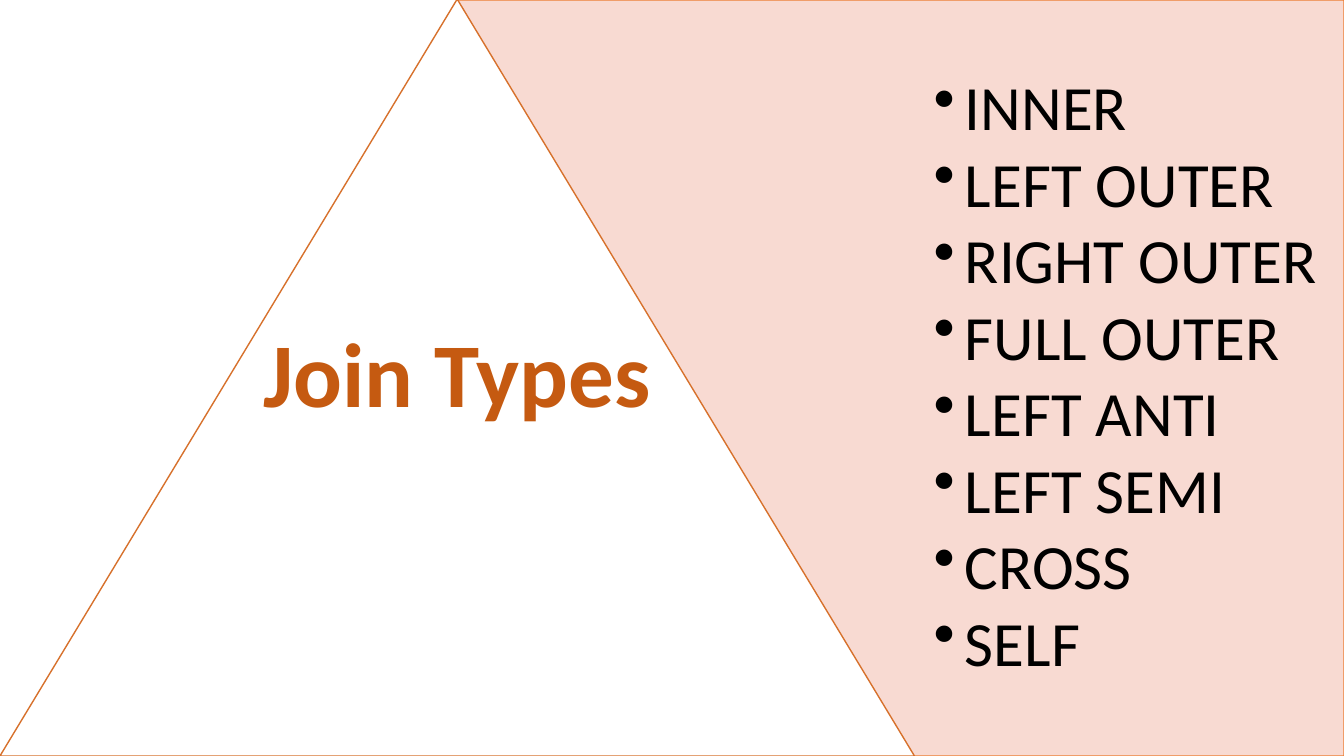
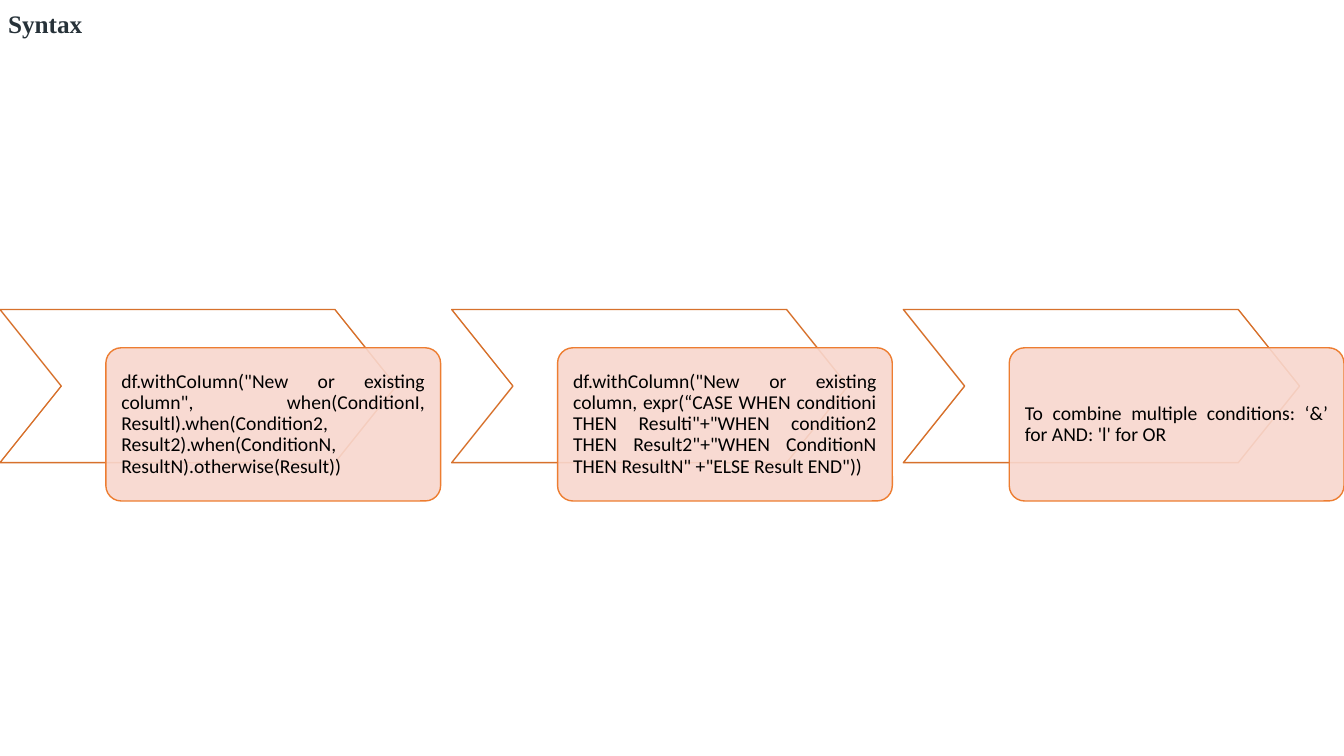
from lxml import etree
from pptx import Presentation
from pptx.dml.color import RGBColor
from pptx.enum.shapes import MSO_SHAPE
from pptx.enum.text import MSO_ANCHOR, PP_ALIGN
from pptx.oxml.ns import qn
from pptx.util import Inches, Pt

TRAPEZOID = MSO_SHAPE.TRAPEZOID
SIDE_TRAPEZOID = MSO_SHAPE.NON_ISOSCELES_TRAPEZOID
CHEVRON = MSO_SHAPE.CHEVRON
ROUNDED = MSO_SHAPE.ROUNDED_RECTANGLE
TOP, MIDDLE = MSO_ANCHOR.TOP, MSO_ANCHOR.MIDDLE
LEFT, CENTER, JUSTIFY = PP_ALIGN.LEFT, PP_ALIGN.CENTER, PP_ALIGN.JUSTIFY

WHITE = RGBColor(0xFF, 0xFF, 0xFF)
BLACK = RGBColor(0x00, 0x00, 0x00)
PEACH = RGBColor(0xF8, 0xD7, 0xCE)
ORANGE = RGBColor(0xED, 0x7D, 0x31)
DARK_ORANGE = RGBColor(0xD7, 0x71, 0x2C)
RUST = RGBColor(0xC5, 0x5A, 0x11)
SLATE = RGBColor(0x27, 0x32, 0x39)

SLIDE_WIDTH, SLIDE_HEIGHT = 13.33, 7.5

SOLID = {"fill": WHITE, "line": DARK_ORANGE, "alpha": 100}
TINTED = {"fill": PEACH, "line": ORANGE, "alpha": 90}

TITLE_FONT = {"name": "Calibri", "size": Pt(65), "bold": True}
LIST_FONT = {"name": "Calibri", "size": Pt(45)}
CARD_FONT = {"name": "Calibri", "size": Pt(14)}
HEADING_FONT = {"name": "Times New Roman", "size": Pt(18), "bold": True}


def add_panel(slide, preset, box, style, adjustments):
    """Add a preset shape; box is left, top, width, height in inches."""
    shape = slide.shapes.add_shape(preset, *[Inches(length) for length in box])
    shape.shadow.inherit = False
    shape.fill.solid()
    shape.fill.fore_color.rgb = style["fill"]
    shape.line.color.rgb = style["line"]
    shape.line.width = Pt(1)
    if style["alpha"] < 100:
        color = shape.fill._xPr.find(qn("a:solidFill"))[0]
        etree.SubElement(color, qn("a:alpha"), val=str(style["alpha"] * 1000))
    for index, value in enumerate(adjustments):
        shape.adjustments[index] = value
    return shape


def write_text(shape, lines, font, color, align, anchor=MIDDLE, inset=0.1,
               spacing=0.9, gap=0, bullet_indent=0):
    frame = shape.text_frame
    frame.word_wrap = True
    frame.vertical_anchor = anchor
    for side in ("left", "top", "right", "bottom"):
        setattr(frame, f"margin_{side}", Inches(inset))
    for index, line in enumerate(lines):
        paragraph = frame.add_paragraph() if index else frame.paragraphs[0]
        paragraph.text = line
        paragraph.alignment = align
        paragraph.line_spacing = spacing
        paragraph.space_after = Pt(gap)
        if bullet_indent:
            properties = paragraph._p.get_or_add_pPr()
            properties.set("marL", str(Inches(bullet_indent)))
            properties.set("indent", str(-Inches(bullet_indent)))
            etree.SubElement(properties, qn("a:buChar"), char="•")
        for name, value in font.items():
            setattr(paragraph.font, name, value)
        paragraph.font.color.rgb = color


presentation = Presentation()
presentation.slide_width = Inches(SLIDE_WIDTH)
presentation.slide_height = Inches(SLIDE_HEIGHT)
blank = presentation.slide_layouts[6]

# Join types: a title triangle beside a tinted list panel
slide = presentation.slides.add_slide(blank)
triangle_width = 9.07
apex = triangle_width / 2
slope = 0.604
panel = add_panel(slide, SIDE_TRAPEZOID,
                  (apex, 0, SLIDE_WIDTH - apex, SLIDE_HEIGHT), TINTED, (0, slope))
panel.rotation = 180
join_list = slide.shapes.add_textbox(
    Inches(triangle_width), 0,
    Inches(SLIDE_WIDTH - triangle_width), Inches(SLIDE_HEIGHT))
join_types = ["INNER", "LEFT OUTER", "RIGHT OUTER", "FULL OUTER",
              "LEFT ANTI", "LEFT SEMI", "CROSS", "SELF"]
write_text(join_list, join_types, LIST_FONT, BLACK, LEFT,
           inset=0.19, gap=6, bullet_indent=0.31)
add_panel(slide, TRAPEZOID, (0, 0, triangle_width, SLIDE_HEIGHT), SOLID, (slope,))
title = slide.shapes.add_textbox(0, 0, Inches(triangle_width), Inches(SLIDE_HEIGHT))
write_text(title, ["Join Types"], TITLE_FONT, RUST, CENTER)

# Syntax: three chevrons, each with a card over its lower right
slide = presentation.slides.add_slide(blank)
cards = [
    'df.withCoIumn("New or existing column", when(ConditionI, Resultl)'
    '.when(Condition2, Result2).when(ConditionN, ResultN).otherwise(Result))',
    'df.withColumn("New or existing column, expr(“CASE WHEN conditioni THEN '
    'Resulti"+"WHEN condition2 THEN Result2"+"WHEN ConditionN THEN ResultN" '
    '+"ELSE Result END"))',
    "To combine multiple conditions: ‘&’ for AND: 'l' for OR",
]
chevron_top, chevron_width, height = 3.07, 3.93, 1.52
card_offset, card_drop, card_width = 1.05, 0.38, 3.32
pitch = (SLIDE_WIDTH - card_offset - card_width) / (len(cards) - 1)
for index, text in enumerate(cards):
    left = index * pitch
    add_panel(slide, CHEVRON, (left, chevron_top, chevron_width, height),
              SOLID, (0.4,))
    card = add_panel(slide, ROUNDED,
                     (left + card_offset, chevron_top + card_drop, card_width, height),
                     TINTED, (0.1,))
    write_text(card, [text], CARD_FONT, BLACK, JUSTIFY, inset=0.11)

heading = slide.shapes.add_textbox(0, 0, Inches(SLIDE_WIDTH), Inches(0.4))
write_text(heading, ["Syntax"], HEADING_FONT, SLATE, LEFT,
           anchor=TOP, inset=0.08, spacing=1)

presentation.save("out.pptx")
